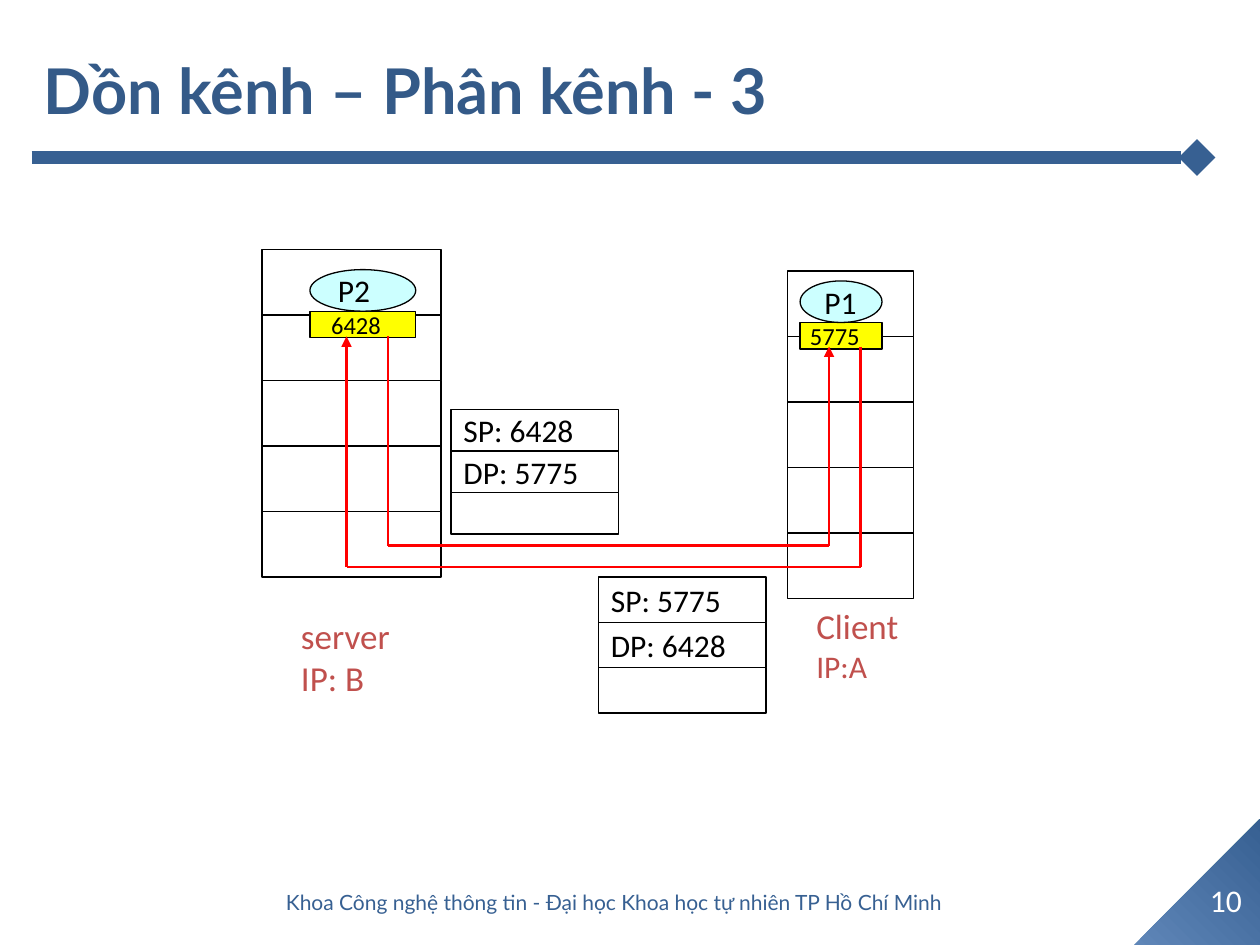
from lxml import etree
from pptx import Presentation
from pptx.dml.color import RGBColor
from pptx.enum.shapes import MSO_CONNECTOR, MSO_SHAPE
from pptx.enum.text import MSO_ANCHOR, PP_ALIGN
from pptx.oxml.ns import qn
from pptx.util import Inches, Pt

RECT, OVAL, TRIANGLE = MSO_SHAPE.RECTANGLE, MSO_SHAPE.OVAL, MSO_SHAPE.RIGHT_TRIANGLE
STRAIGHT = MSO_CONNECTOR.STRAIGHT
TOP, MIDDLE = MSO_ANCHOR.TOP, MSO_ANCHOR.MIDDLE
LEFT, CENTER = PP_ALIGN.LEFT, PP_ALIGN.CENTER


def rgb(value):
    return RGBColor.from_string(value)


class Diagram:
    BLUE, LIGHT_BLUE, TITLE = "376092", "5F86B8", "345A88"
    BLACK, WHITE, RED = "000000", "FFFFFF", "FF0000"
    YELLOW, CYAN, BRICK = "FFFF00", "CCFFFF", "C0504D"

    def __init__(self, slide):
        self.shapes = slide.shapes

    def fill_text(self, sp, lines, color=BLACK, font="Calibri", bold=False,
                  align=LEFT, anchor=MIDDLE, wrap=False):
        """Fill a shape with (text, size) lines."""
        tf = sp.text_frame
        tf.word_wrap, tf.vertical_anchor = wrap, anchor
        for i, (text, size) in enumerate(lines):
            p = tf.add_paragraph() if i else tf.paragraphs[0]
            p.alignment = align
            r = p.add_run()
            r.text = text
            for name, value in dict(name=font, size=Pt(size), bold=bold).items():
                setattr(r.font, name, value)
            r.font.color.rgb = rgb(color)

    def text(self, x, y, w, h, lines, **style):
        sp = self.shapes.add_textbox(Inches(x), Inches(y), Inches(w), Inches(h))
        self.fill_text(sp, lines, **style)

    def shape(self, kind, x, y, w, h, fill=WHITE, text=""):
        sp = self.shapes.add_shape(kind, Inches(x), Inches(y), Inches(w), Inches(h))
        sp.shadow.inherit = False
        sp.fill.solid()
        sp.fill.fore_color.rgb = rgb(fill)
        sp.line.color.rgb = rgb(self.BLACK)
        sp.line.width = Pt(0.75)
        if text:
            self.fill_text(sp, [(text, 18)])
        return sp

    def line(self, start, end, color=RED, width=1.5, tail=None):
        sp = self.shapes.add_connector(STRAIGHT, *map(Inches, start + end))
        sp.line.color.rgb = rgb(color)
        sp.line.width = Pt(width)
        props = sp._element.spPr
        if tail:
            etree.SubElement(props.get_or_add_ln(), qn("a:tailEnd"), type=tail)
        etree.SubElement(props, qn("a:effectLst"))

    def stack(self, x, y, w, row_h, texts):
        for i, text in enumerate(texts):
            self.shape(RECT, x, y + i * row_h, w, row_h, text=text)

    def process(self, x, y, w, name, port, port_x):
        """An oval process standing on its yellow port."""
        self.shape(RECT, x, y + 0.33, w, 0.21, self.YELLOW)
        self.shape(OVAL, x, y, w, 0.33, self.CYAN, name)
        self.text(port_x, y + 0.27, 0.64, 0.34, [(port, 14)], anchor=TOP)

    def route(self, points):
        """Joined lines with an arrowhead on the last one."""
        last = len(points) - 2
        for i, (start, end) in enumerate(zip(points, points[1:])):
            self.line(start, end, tail="triangle" if i == last else None)

    def corner(self):
        sp = self.shape(TRIANGLE, 9, 6.5, 1, 1)
        sp.rotation = 270
        sp.line.fill.background()
        sp.fill.gradient()
        sp.fill.gradient_angle = 315
        for stop, color in zip(sp.fill.gradient_stops, (self.LIGHT_BLUE, self.BLUE)):
            stop.color.rgb = rgb(color)


def main():
    prs = Presentation()
    prs.slide_width, prs.slide_height = Inches(10), Inches(7.5)
    d = Diagram(prs.slides.add_slide(prs.slide_layouts[6]))

    # Frame and title
    d.corner()
    d.line((0.25, 1.25), (9.5, 1.25), d.BLUE, 7, "diamond")
    d.text(0.25, 0.08, 9.57, 1.25, [("Dồn kênh – Phân kênh - 3", 36)],
           color=d.TITLE, font="Lato", bold=True, wrap=True)

    # Client and server layers
    d.stack(6.25, 2.15, 1, 0.52, [""] * 5)
    d.process(6.35, 2.23, 0.65, "P1", "5775", 6.33)
    d.stack(2.08, 1.98, 1.42, 0.52, [""] * 5)
    d.process(2.46, 2.14, 0.84, "P2", "6428", 2.53)
    d.text(6.38, 4.75, 0.92, 0.74, [("Client", 20), ("IP:A", 18)],
           color=d.BRICK, anchor=TOP)
    d.text(2.29, 4.83, 0.98, 0.77, [("server", 20), ("IP: B", 20)],
           color=d.BRICK, anchor=TOP)

    # Routes between the ports
    d.route([(3.08, 2.67), (3.08, 4.33), (6.58, 4.33), (6.58, 2.75)])
    d.route([(6.83, 2.75), (6.83, 4.5), (2.75, 4.5), (2.75, 2.67)])

    # Segments
    d.stack(3.58, 3.25, 1.33, 0.33, ["SP: 6428", "DP: 5775", ""])
    d.stack(4.75, 4.58, 1.33, 0.36, ["SP: 5775", "DP: 6428", ""])

    # Footer
    d.text(9.46, 6.94, 0.54, 0.4, [("10", 18)], color=d.WHITE,
           align=CENTER, wrap=True)
    d.text(1.25, 6.96, 7.25, 0.4,
           [("Khoa Công nghệ thông tin - Đại học Khoa học tự nhiên TP Hồ Chí Minh", 12)],
           color=d.BLUE, font="Lato", align=CENTER, wrap=True)

    prs.save("out.pptx")


if __name__ == "__main__":
    main()
